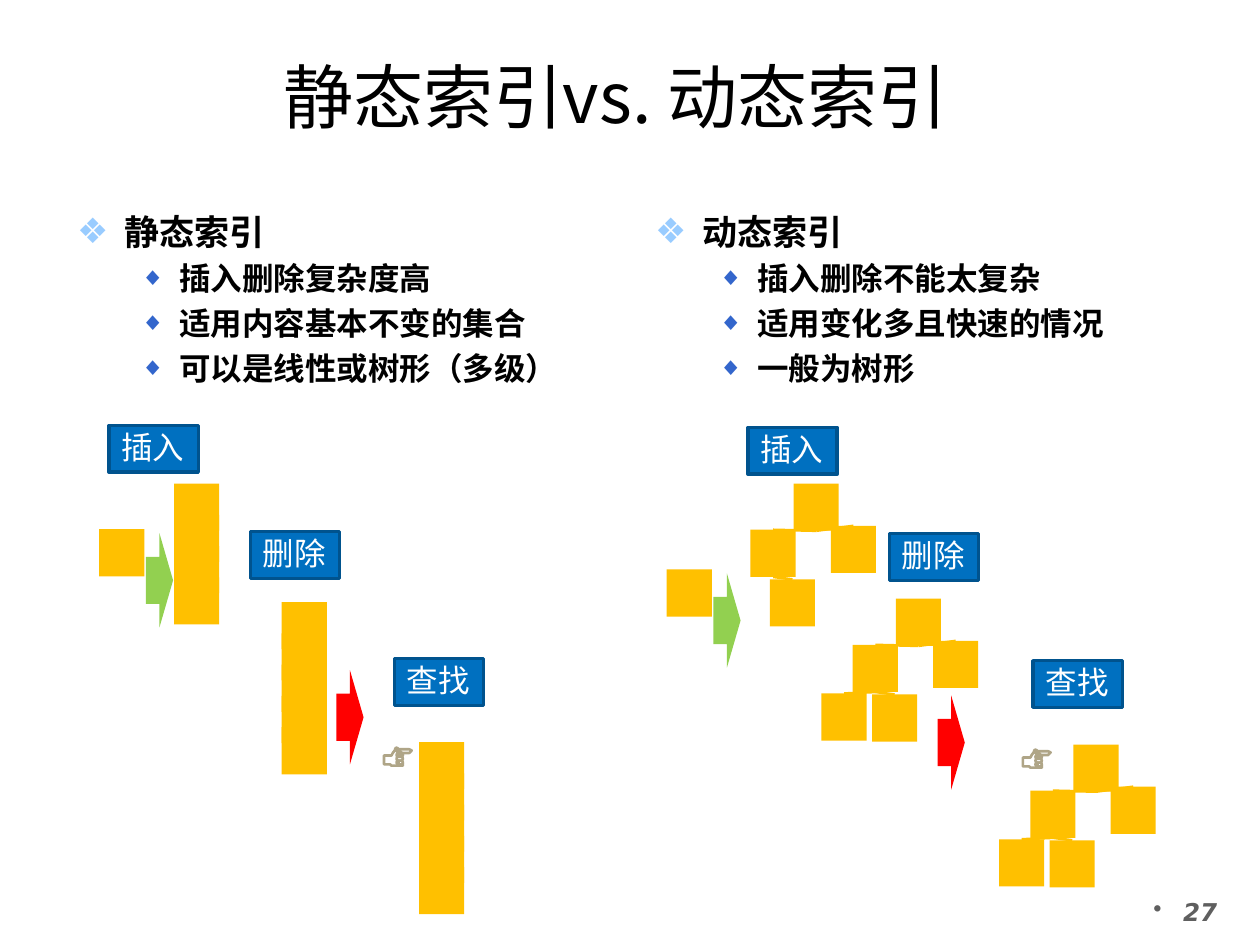
import pptx
import pptx.dml.color
import pptx.enum.shapes
import pptx.enum.text
import pptx.oxml
import pptx.oxml.ns
import pptx.util
from lxml import etree

Cm, Pt = pptx.util.Cm, pptx.util.Pt
SHAPE = pptx.enum.shapes.MSO_SHAPE
ALIGN = pptx.enum.text.PP_ALIGN
ANCHOR = pptx.enum.text.MSO_ANCHOR
qn = pptx.oxml.ns.qn

TITLE_FONT, TEXT_FONT, NUMBER_FONT = "Noto Sans CJK JP", "Noto Sans Mono", "DejaVu Sans"
BLACK, WHITE, GREY = "000000", "FFFFFF", "5F5F5F"
GOLD, GREEN, RED, TAN = "FFC000", "92D050", "FF0000", "AFA587"
BLUE, DARK_BLUE = "0070C0", "00538E"

NODE_W, NODE_H = 0.91, 0.95
STACK_STEP = 0.63
OPERATIONS = [("插入", 0, 0), ("删除", 2.85, 2.14), ("查找", 5.75, 4.7)]
HAND_UNIT = 0.0254
HAND_OUTLINE = [(10, 0), (12, 1), (20, 1), (21.5, 2.5), (20, 4), (12, 4), (12, 12), (15, 12),
                (15, 14), (6, 14), (5, 13), (0, 13), (0, 6), (6, 6), (7, 4)]
HAND_FINGERS = [(10, 4, 5, 3, 0), (10, 7, 5, 3, 0), (10, 10, 5, 3, 0), (8, 2, 8, 2, 47.5)]
HAND_CREASES = [(13, 2, 12, 4), (12, 7, 12, 4), (12, 13, 12, 10)]


def color(hex_text):
    return pptx.dml.color.RGBColor.from_string(hex_text)


def place(part, left, top, width, height):
    part.left, part.top, part.width, part.height = Cm(left), Cm(top), Cm(width), Cm(height)


def set_font(paragraph, name, size, hex_text, bold=False, italic=False):
    font = paragraph.font
    font.name, font.size, font.bold, font.italic = name, Pt(size), bold, italic
    font.color.rgb = color(hex_text)
    defaults = paragraph._p.get_or_add_pPr().find(qn("a:defRPr"))
    east_asian = etree.Element(qn("a:ea"), typeface=name)
    defaults.find(qn("a:latin")).addnext(east_asian)


def set_bullet(paragraph, mark, hex_text, hang, margin, percent=100):
    properties = paragraph._p.get_or_add_pPr()
    properties.set("marL", str(Cm(margin)))
    properties.set("indent", str(-Cm(hang)))
    bullet_color = etree.SubElement(properties, qn("a:buClr"))
    etree.SubElement(bullet_color, qn("a:srgbClr"), val=hex_text)
    etree.SubElement(properties, qn("a:buSzPct"), val=str(percent * 1000))
    etree.SubElement(properties, qn("a:buChar"), char=mark)


def paint(shape, fill=None, line=None, line_width=1.5):
    shape.shadow.inherit = False
    if fill:
        shape.fill.solid()
        shape.fill.fore_color.rgb = color(fill)
    else:
        shape.fill.background()
    if line:
        shape.line.color.rgb = color(line)
        shape.line.width = Pt(line_width)
    else:
        shape.line.fill.background()


def add_preset(slide, kind, left, top, width, height, **look):
    shape = slide.shapes.add_shape(kind, Cm(left), Cm(top), Cm(width), Cm(height))
    paint(shape, **look)
    return shape


def add_line(slide, x1, y1, x2, y2, hex_text):
    line = slide.shapes.add_connector(pptx.enum.shapes.MSO_CONNECTOR.STRAIGHT,
                                      Cm(x1), Cm(y1), Cm(x2), Cm(y2))
    line.line.color.rgb = color(hex_text)
    line.line.width = Pt(1.5)
    etree.SubElement(line._element.spPr, qn("a:effectLst"))
    return line


def add_node(slide, left, top):
    return add_preset(slide, SHAPE.RECTANGLE, left, top, NODE_W, NODE_H, fill=GOLD)


def add_arrow(slide, left, top, hex_text):
    add_preset(slide, SHAPE.RIGHT_ARROW, left, top, 0.55, 1.9, fill=hex_text)


def add_incoming_node(slide, left, top):
    add_node(slide, left, top)
    add_arrow(slide, left + 0.94, top + 0.08, GREEN)


def add_stack(slide, left, top, count):
    for row in range(count):
        add_node(slide, left, top + row * STACK_STEP)


def add_tree(slide, left, top, left_leaf=True):
    """Draw a tree whose root has its corner at the given point."""
    root = add_node(slide, left, top)
    left_child = add_node(slide, left - 0.87, top + 0.93)
    right_child = add_node(slide, left + 0.75, top + 0.85)
    edges = [(root, left_child), (root, right_child),
             (left_child, add_node(slide, left - 0.48, top + 1.93))]
    if left_leaf:
        edges.append((left_child, add_node(slide, left - 1.5, top + 1.91)))
    for parent, child in edges:
        edge = add_line(slide, 0, 0, 1, 1, GOLD)
        edge.begin_connect(parent, 2)
        edge.end_connect(child, 0)


def add_hand(slide, left, top):
    builder = slide.shapes.build_freeform(*HAND_OUTLINE[0], scale=Cm(HAND_UNIT))
    builder.add_line_segments(HAND_OUTLINE[1:], close=True)
    paint(builder.convert_to_shape(Cm(left), Cm(top)), line=TAN)
    for x, y, width, height, angle in HAND_FINGERS:
        finger = add_preset(slide, SHAPE.ROUNDED_RECTANGLE,
                            left + x * HAND_UNIT, top + y * HAND_UNIT,
                            width * HAND_UNIT, height * HAND_UNIT, fill=WHITE, line=TAN)
        finger.adjustments[0] = 0.5
        finger.rotation = angle
    for x1, y1, x2, y2 in HAND_CREASES:
        add_line(slide, left + x1 * HAND_UNIT, top + y1 * HAND_UNIT,
                 left + x2 * HAND_UNIT, top + y2 * HAND_UNIT, TAN)


def add_operations(slide, left, top):
    """Add what both diagrams share: the operation labels and the search hand."""
    for text, x, y in OPERATIONS:
        label = add_preset(slide, SHAPE.RECTANGLE, left + x, top + y, 1.8, 0.94,
                           fill=BLUE, line=DARK_BLUE, line_width=2)
        frame = label.text_frame
        frame.word_wrap = False
        frame.text = text
        paragraph = frame.paragraphs[0]
        paragraph.alignment = ALIGN.LEFT
        paragraph.line_spacing = 0.9
        set_font(paragraph, TEXT_FONT, 18, WHITE)
    add_hand(slide, left + 5.54, top + 6.5)


def add_static_diagram(slide, left, top):
    add_operations(slide, left, top)
    add_stack(slide, left + 1.31, top + 1.17, 4)
    add_incoming_node(slide, left - 0.2, top + 2.09)
    add_stack(slide, left + 3.48, top + 3.56, 5)
    add_arrow(slide, left + 4.58, top + 4.93, RED)
    add_stack(slide, left + 6.25, top + 6.38, 5)


def add_dynamic_diagram(slide, left, top):
    add_operations(slide, left, top)
    add_tree(slide, left + 0.92, top + 1.13, left_leaf=False)
    add_incoming_node(slide, left - 1.64, top + 2.86)
    add_tree(slide, left + 2.98, top + 3.45)
    add_arrow(slide, left + 3.82, top + 5.4, RED)
    add_tree(slide, left + 6.56, top + 6.39)


def fill_title(title, text):
    place(title, 3.3, 0.94, 18.2, 1.96)
    title.text_frame.text = text
    title.text_frame.vertical_anchor = ANCHOR.MIDDLE
    title.text_frame.paragraphs[0].alignment = ALIGN.CENTER
    set_font(title.text_frame.paragraphs[0], TITLE_FONT, 40, BLACK)


def fill_list(body, left, heading, items):
    place(body, left, 4.11, 11.23, 12.57)
    frame = body.text_frame
    frame.auto_size = pptx.enum.text.MSO_AUTO_SIZE.NONE
    frame.text = "\n".join([heading, *items])
    first, *rest = frame.paragraphs
    set_bullet(first, "❖", "99CCFF", 0.95, 0.95)
    first.space_before = Pt(0)
    set_font(first, TEXT_FONT, 20, BLACK, bold=True)
    for paragraph in rest:
        paragraph.level = 1
        set_bullet(paragraph, "◆", "3366CC", 0.79, 2.06, 80)
        paragraph.space_before = Pt(4)
        set_font(paragraph, TEXT_FONT, 18, BLACK, bold=True)


def add_page_number(slide, number):
    frame = slide.shapes.add_textbox(Cm(22.8), Cm(17.95), Cm(2.6), Cm(1.1)).text_frame
    frame.word_wrap = True
    frame.margin_right = Cm(0.66)
    frame.text = number
    paragraph = frame.paragraphs[0]
    paragraph.alignment = ALIGN.CENTER
    set_bullet(paragraph, "•", GREY, 0.6, 0.6)
    set_font(paragraph, NUMBER_FONT, 14, GREY, bold=True, italic=True)


def main():
    deck = pptx.Presentation()
    deck.slide_width, deck.slide_height = Cm(25.4), Cm(19.05)
    slide = deck.slides.add_slide(deck.slide_layouts[3])
    title, static_list, dynamic_list = slide.placeholders
    fill_title(title, "静态索引vs. 动态索引")
    fill_list(static_list, 1.3, "静态索引",
              ["插入删除复杂度高", "适用内容基本不变的集合", "可以是线性或树形（多级）"])
    fill_list(dynamic_list, 12.95, "动态索引",
              ["插入删除不能太复杂", "适用变化多且快速的情况", "一般为树形"])
    add_page_number(slide, "27")
    add_static_diagram(slide, 2.2, 8.58)
    add_dynamic_diagram(slide, 15.08, 8.62)
    deck.save("out.pptx")


if __name__ == "__main__":
    main()
